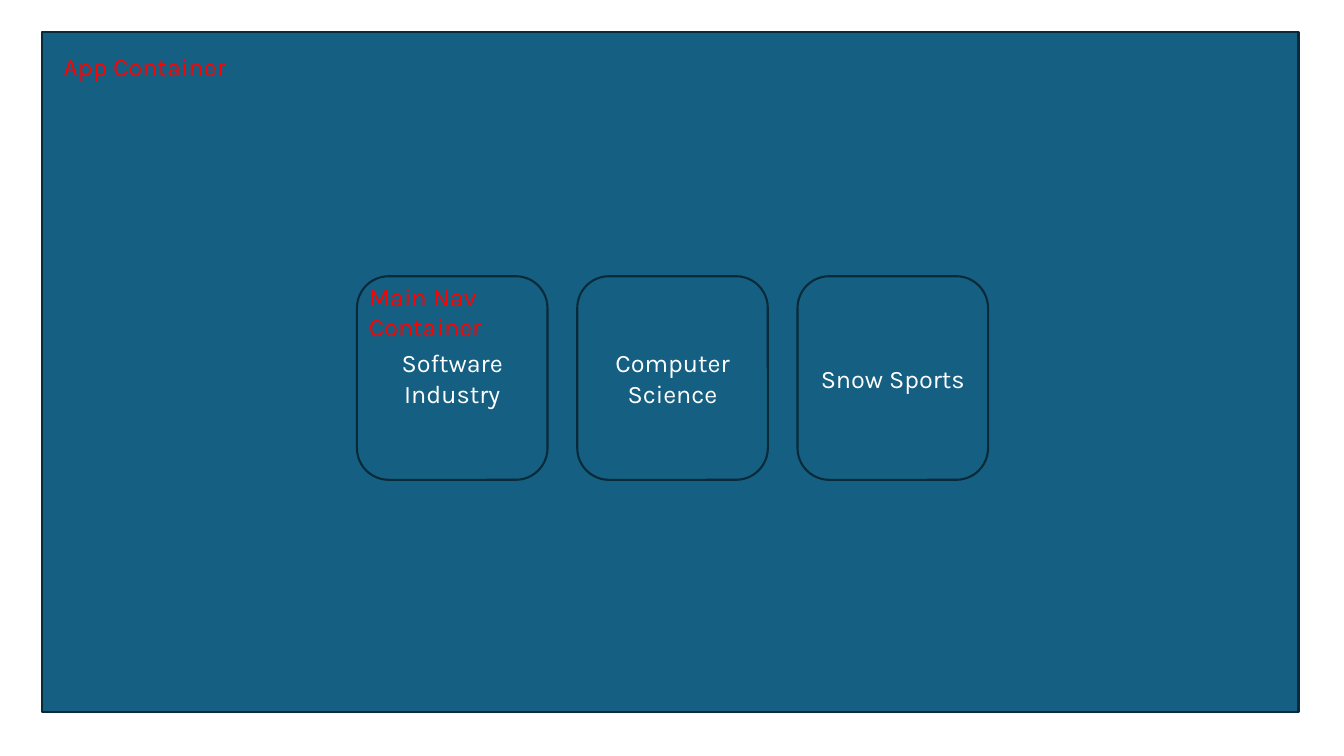
from dataclasses import dataclass

from pptx import Presentation
from pptx.dml.color import RGBColor
from pptx.enum.shapes import MSO_SHAPE
from pptx.enum.text import MSO_ANCHOR, MSO_AUTO_SIZE, PP_ALIGN
from pptx.util import Inches, Pt

# Content
NAV_ITEMS = ["Software Industry", "Computer Science", "Snow Sports"]
APP_LABEL = "App Container"
NAV_LABEL = "Main Nav Container"


@dataclass(frozen=True)
class Theme:
    font: str = "Karla"
    size: int = 18
    line_width: float = 1.5
    panel: str = "156082"
    outline: str = "092A39"
    item_text: str = "FFFFFF"
    label_text: str = "FF0000"


THEME = Theme()

# Layout in inches
SLIDE_WIDTH, SLIDE_HEIGHT = 13.33, 7.5
APP_BOX = (0.42, 0.32, 12.46, 6.74)
NAV_LEFT, NAV_TOP = 3.54, 2.74
NAV_WIDTH, NAV_HEIGHT = 1.89, 2.02
NAV_PITCH = 2.185
LABEL_WIDTH = 1.85
LABELS = [
    (APP_LABEL, (0.53, 0.46, LABEL_WIDTH, 0.41)),
    (NAV_LABEL, (NAV_LEFT + 0.02, NAV_TOP, LABEL_WIDTH, 0.71)),
]


def write(shape, text, color, align, **frame_format):
    frame = shape.text_frame
    for name, value in {"word_wrap": True, **frame_format}.items():
        setattr(frame, name, value)
    paragraph = frame.paragraphs[0]
    paragraph.alignment = align
    run = paragraph.add_run()
    run.text = text
    for name, value in {"name": THEME.font, "size": Pt(THEME.size)}.items():
        setattr(run.font, name, value)
    run.font.color.rgb = RGBColor.from_string(color)


def add_panel(slide, kind, box):
    shape = slide.shapes.add_shape(kind, *map(Inches, box))
    shape.shadow.inherit = False
    shape.fill.solid()
    shape.fill.fore_color.rgb = RGBColor.from_string(THEME.panel)
    shape.line.color.rgb = RGBColor.from_string(THEME.outline)
    shape.line.width = Pt(THEME.line_width)
    return shape


def main():
    presentation = Presentation()
    presentation.slide_width = Inches(SLIDE_WIDTH)
    presentation.slide_height = Inches(SLIDE_HEIGHT)
    slide = presentation.slides.add_slide(presentation.slide_layouts[6])

    # App container
    add_panel(slide, MSO_SHAPE.RECTANGLE, APP_BOX)

    # Navigation row
    for column, item in enumerate(NAV_ITEMS):
        box = (NAV_LEFT + column * NAV_PITCH, NAV_TOP, NAV_WIDTH, NAV_HEIGHT)
        tile = add_panel(slide, MSO_SHAPE.ROUNDED_RECTANGLE, box)
        write(tile, item, THEME.item_text, PP_ALIGN.CENTER,
              vertical_anchor=MSO_ANCHOR.MIDDLE)

    # Container labels
    for text, box in LABELS:
        label = slide.shapes.add_textbox(*map(Inches, box))
        write(label, text, THEME.label_text, PP_ALIGN.LEFT,
              auto_size=MSO_AUTO_SIZE.SHAPE_TO_FIT_TEXT)

    presentation.save("out.pptx")


if __name__ == "__main__":
    main()
